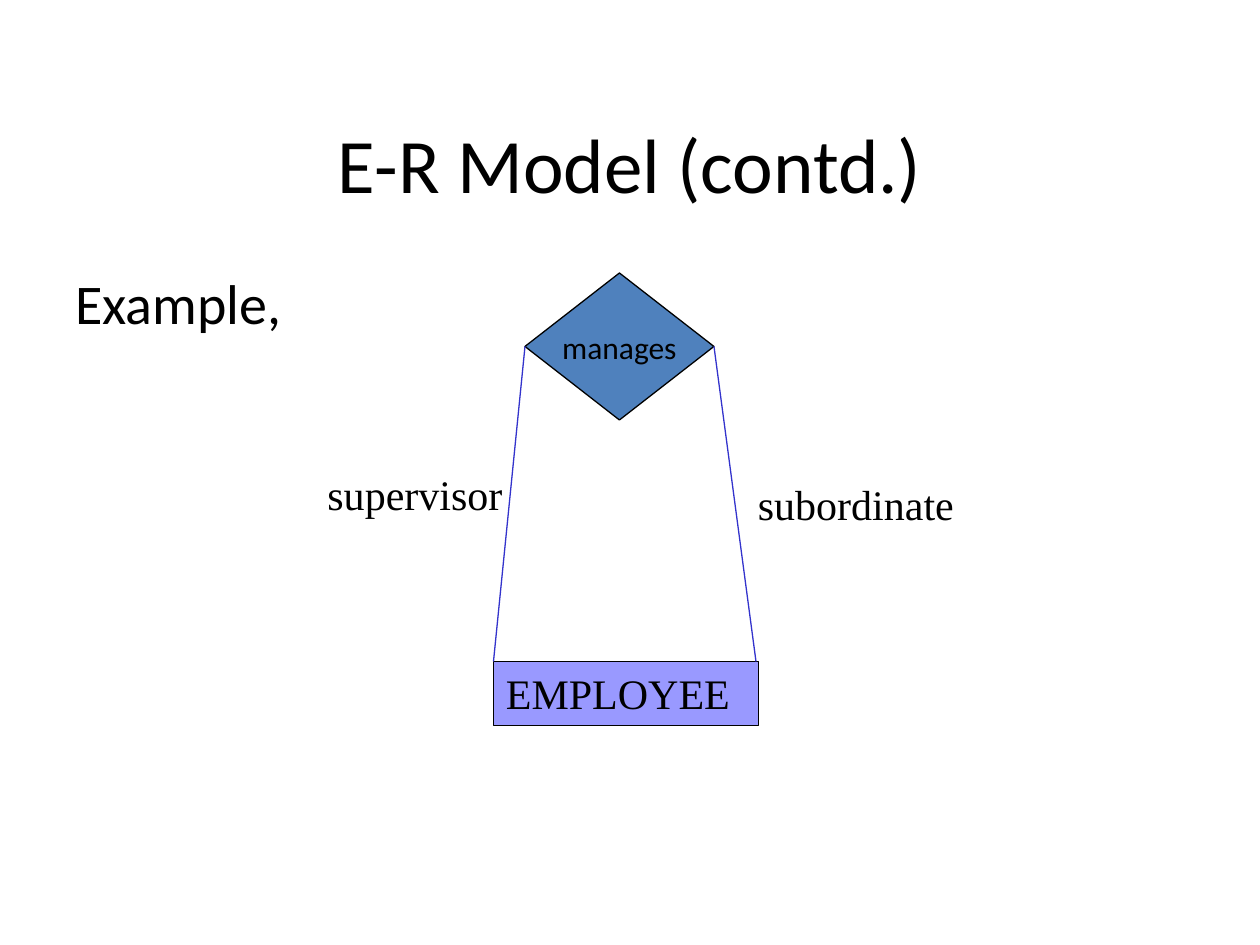
from dataclasses import dataclass

from lxml import etree
from pptx import Presentation
from pptx.dml.color import RGBColor
from pptx.enum.shapes import MSO_CONNECTOR, MSO_SHAPE
from pptx.enum.text import MSO_ANCHOR, MSO_AUTO_SIZE, PP_ALIGN
from pptx.oxml.ns import qn
from pptx.util import Inches, Pt

STRAIGHT = MSO_CONNECTOR.STRAIGHT
DIAMOND, RECTANGLE = MSO_SHAPE.DIAMOND, MSO_SHAPE.RECTANGLE
TOP, MIDDLE = MSO_ANCHOR.TOP, MSO_ANCHOR.MIDDLE
FIXED, GROW = MSO_AUTO_SIZE.NONE, MSO_AUTO_SIZE.SHAPE_TO_FIT_TEXT
LEFT, CENTER = PP_ALIGN.LEFT, PP_ALIGN.CENTER
LEFT_SITE, RIGHT_SITE = 1, 3
BLANK_LAYOUT = 6
CELLS_PER_INCH = 12
COLUMNS, ROWS = 120, 90


@dataclass(frozen=True)
class Theme:
    heading_font: str = "Calibri"
    diagram_font: str = "Times New Roman"
    title_size: int = 44
    body_size: int = 32
    diagram_size: int = 24
    relationship_size: int = 18
    text: str = "000000"
    outline: str = "000000"
    entity: str = "9999FF"
    relationship: str = "4F81BD"
    link: str = "3333CC"
    line_width: float = 0.75


THEME = Theme()


def cells(*counts):
    """Turn counts of grid cells into lengths."""
    return [Inches(count / CELLS_PER_INCH) for count in counts]


def write_text(shape, text, font, size, align=LEFT, **frame_format):
    """Fill a shape with one paragraph; frame_format overrides the frame's defaults."""
    frame = shape.text_frame
    defaults = {"word_wrap": True, "vertical_anchor": TOP, "auto_size": FIXED}
    for name, value in (defaults | frame_format).items():
        setattr(frame, name, value)
    paragraph = frame.paragraphs[0]
    paragraph.text, paragraph.alignment = text, align
    text_font = paragraph.runs[0].font
    for name, value in {"name": font, "size": Pt(size)}.items():
        setattr(text_font, name, value)
    text_font.color.rgb = RGBColor.from_string(THEME.text)


def style_line(line, color):
    line.color.rgb = RGBColor.from_string(color)
    line.width = Pt(THEME.line_width)


def add_text(slide, area, text, font, size, **layout):
    write_text(slide.shapes.add_textbox(*cells(*area)), text, font, size, **layout)


def add_node(slide, kind, area, fill, text, font, size, **layout):
    shape = slide.shapes.add_shape(kind, *cells(*area))
    shape.shadow.inherit = False
    shape.fill.solid()
    shape.fill.fore_color.rgb = RGBColor.from_string(fill)
    style_line(shape.line, THEME.outline)
    write_text(shape, text, font, size, **layout)
    return shape


def add_role_link(slide, relationship, site, column, row):
    """Join a corner of the relationship to a point on the entity's top edge."""
    end = cells(column, row)
    connector = slide.shapes.add_connector(STRAIGHT, *end, *end)
    connector.begin_connect(relationship, site)
    style_line(connector.line, THEME.link)
    etree.SubElement(connector._element.spPr, qn("a:effectLst"))


def main():
    presentation = Presentation()
    presentation.slide_width, presentation.slide_height = cells(COLUMNS, ROWS)
    slide = presentation.slides.add_slide(presentation.slide_layouts[BLANK_LAYOUT])

    add_text(slide, (6, 8, 108, 15), "E-R Model (contd.)", THEME.heading_font,
             THEME.title_size, align=CENTER, vertical_anchor=MIDDLE)
    add_text(slide, (6, 25, 108, 55.5), "Example,", THEME.heading_font, THEME.body_size)

    entity_left, entity_top = 47, 63
    add_node(slide, RECTANGLE, (entity_left, entity_top, 25.25, 6.1), THEME.entity,
             "EMPLOYEE", THEME.diagram_font, THEME.diagram_size, auto_size=GROW)
    manages = add_node(slide, DIAMOND, (50, 26, 18, 14), THEME.relationship, "manages",
                       THEME.heading_font, THEME.relationship_size,
                       align=CENTER, vertical_anchor=MIDDLE, word_wrap=False)

    for site, column in ((LEFT_SITE, entity_left), (RIGHT_SITE, entity_left + 25)):
        add_role_link(slide, manages, site, column, entity_top)
    for area, role in (((30, 44, 19.1, 6), "supervisor"),
                       ((71, 45, 21.1, 6), "subordinate")):
        add_text(slide, area, role, THEME.diagram_font, THEME.diagram_size,
                 word_wrap=False, auto_size=GROW)

    presentation.save("out.pptx")


if __name__ == "__main__":
    main()
